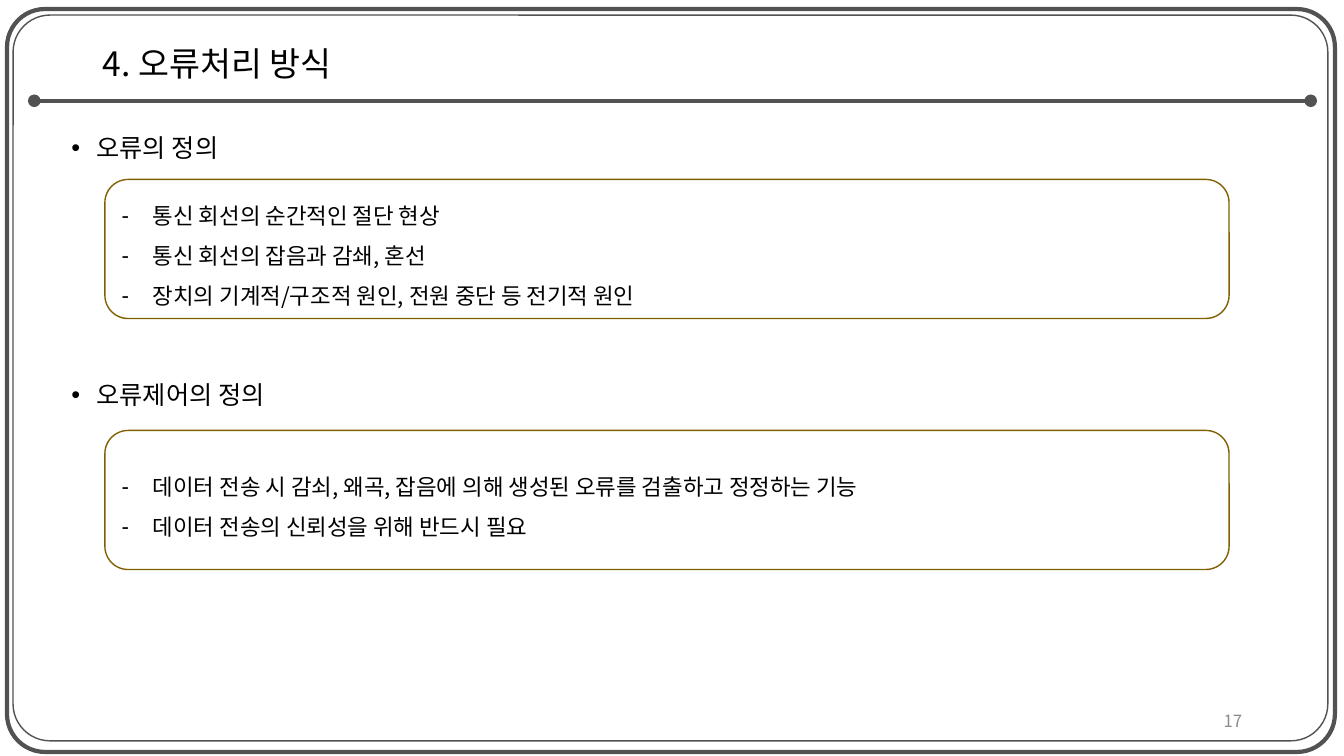
from dataclasses import dataclass

from lxml import etree
from pptx import Presentation
from pptx.dml.color import RGBColor
from pptx.enum.shapes import MSO_CONNECTOR, MSO_SHAPE
from pptx.enum.text import MSO_ANCHOR, MSO_AUTO_SIZE, PP_ALIGN
from pptx.oxml.ns import qn
from pptx.util import Inches, Pt

STRAIGHT = MSO_CONNECTOR.STRAIGHT
ROUNDED = MSO_SHAPE.ROUNDED_RECTANGLE
MIDDLE, TOP = MSO_ANCHOR.MIDDLE, MSO_ANCHOR.TOP
LEFT, RIGHT = PP_ALIGN.LEFT, PP_ALIGN.RIGHT
FONT = "Noto Sans CJK KR"
BLACK, DARK_GRAY, LIGHT_GRAY, OLIVE = "000000", "525252", "8C8C8C", "806000"


@dataclass
class Box:
    """Position and size in inches."""
    left: float
    top: float
    width: float
    height: float

    def lengths(self) -> list:
        """Return the four values as slide lengths."""
        return [Inches(value) for value in (self.left, self.top, self.width, self.height)]


@dataclass
class Outline:
    """Look of an unfilled rounded rectangle."""
    color: str
    width: float
    corner: float


@dataclass
class TextStyle:
    """Look of the paragraphs in one text frame."""
    size: float
    color: str = BLACK
    anchor: int = MIDDLE
    alignment: int = LEFT
    spacing: float = 1.0
    bullet: str = ""
    indent: float = 0


@dataclass
class Section:
    """A heading with the boxed statements below it."""
    heading: str
    heading_top: float
    panel_top: float
    statements: list[str]


TITLE_STYLE = TextStyle(24, spacing=0.9)
HEADING_STYLE = TextStyle(18, anchor=TOP, spacing=0.9, bullet="•", indent=0.25)
STATEMENT_STYLE = TextStyle(16, spacing=1.5, bullet="-", indent=0.31)
NUMBER_STYLE = TextStyle(12, LIGHT_GRAY, alignment=RIGHT)
PANEL_OUTLINE = Outline(OLIVE, 1, 0.167)
FRAMES = [
    (Box(0.13, 0.15, 13.04, 7.2), Outline(DARK_GRAY, 1, 0.051)),
    (Box(0.07, 0.09, 13.17, 7.37), Outline(DARK_GRAY, 3, 0.051)),
]
SECTIONS = [
    Section("오류의 정의", 1.3, 1.78, [
        "통신 회선의 순간적인 절단 현상",
        "통신 회선의 잡음과 감쇄, 혼선",
        "장치의 기계적/구조적 원인, 전원 중단 등 전기적 원인",
    ]),
    Section("오류제어의 정의", 3.75, 4.27, [
        "데이터 전송 시 감쇠, 왜곡, 잡음에 의해 생성된 오류를 검출하고 정정하는 기능",
        "데이터 전송의 신뢰성을 위해 반드시 필요",
    ]),
]


def rgb(color: str) -> RGBColor:
    """Convert a hex string to a colour."""
    return RGBColor.from_string(color)


def apply_format(target, values: dict) -> None:
    """Set every named attribute on the target."""
    for name, value in values.items():
        setattr(target, name, value)


def add_bullet(paragraph, style: TextStyle) -> None:
    """Give a paragraph a bullet with a hanging indent."""
    properties = paragraph._p.get_or_add_pPr()
    properties.set("marL", str(Inches(style.indent)))
    properties.set("indent", str(-Inches(style.indent)))
    etree.SubElement(properties, qn("a:buFont"), typeface="Arial")
    etree.SubElement(properties, qn("a:buChar"), char=style.bullet)


def write_text(shape, lines: list[str], style: TextStyle) -> None:
    """Fill a shape with styled paragraphs."""
    frame = shape.text_frame
    frame.text = "\n".join(lines)
    apply_format(frame, {"word_wrap": True, "auto_size": MSO_AUTO_SIZE.NONE,
                         "vertical_anchor": style.anchor})
    for paragraph in frame.paragraphs:
        apply_format(paragraph, {"alignment": style.alignment, "line_spacing": style.spacing})
        if style.bullet:
            add_bullet(paragraph, style)
        for run in paragraph.runs:
            apply_format(run.font, {"name": FONT, "size": Pt(style.size)})
            run.font.color.rgb = rgb(style.color)
            etree.SubElement(run.font._element, qn("a:ea"), typeface=FONT)


def add_outline(slide, box: Box, outline: Outline):
    """Draw an unfilled rounded rectangle."""
    shape = slide.shapes.add_shape(ROUNDED, *box.lengths())
    shape.adjustments[0] = outline.corner
    shape.shadow.inherit = False
    shape.fill.background()
    shape.line.color.rgb = rgb(outline.color)
    shape.line.width = Pt(outline.width)
    return shape


def add_text(slide, box: Box, text: str, style: TextStyle) -> None:
    """Add a text box with one paragraph."""
    write_text(slide.shapes.add_textbox(*box.lengths()), [text], style)


def add_title_rule(slide) -> None:
    """Draw the line under the title with round ends."""
    rule = slide.shapes.add_connector(STRAIGHT, Inches(0.34), Inches(1), Inches(13), Inches(1))
    rule.line.color.rgb = rgb(DARK_GRAY)
    rule.line.width = Pt(3)
    line = rule.line._get_or_add_ln()
    for end in ("a:headEnd", "a:tailEnd"):
        etree.SubElement(line, qn(end), type="oval")
    etree.SubElement(rule._element.spPr, qn("a:effectLst"))


def add_title(slide, text: str) -> None:
    """Place and format the title placeholder."""
    title = slide.shapes.title
    names = ("left", "top", "width", "height")
    apply_format(title, dict(zip(names, Box(0.92, 0.3, 11.5, 0.7).lengths())))
    write_text(title, [text], TITLE_STYLE)


def add_section(slide, section: Section) -> None:
    """Draw a heading and its panel of statements."""
    add_text(slide, Box(0.61, section.heading_top, 12.11, 0.4), section.heading, HEADING_STYLE)
    panel = add_outline(slide, Box(1.04, section.panel_top, 11.15, 1.38), PANEL_OUTLINE)
    write_text(panel, section.statements, STATEMENT_STYLE)


def main() -> None:
    """Build and save the slide."""
    presentation = Presentation()
    presentation.slide_width = Inches(13.33)
    presentation.slide_height = Inches(7.5)
    slide = presentation.slides.add_slide(presentation.slide_layouts[5])
    for box, outline in FRAMES:
        add_outline(slide, box, outline)
    add_title_rule(slide)
    add_title(slide, "4. 오류처리 방식")
    for section in SECTIONS:
        add_section(slide, section)
    add_text(slide, Box(9.42, 6.95, 3, 0.4), "17", NUMBER_STYLE)
    presentation.save("out.pptx")


if __name__ == "__main__":
    main()
